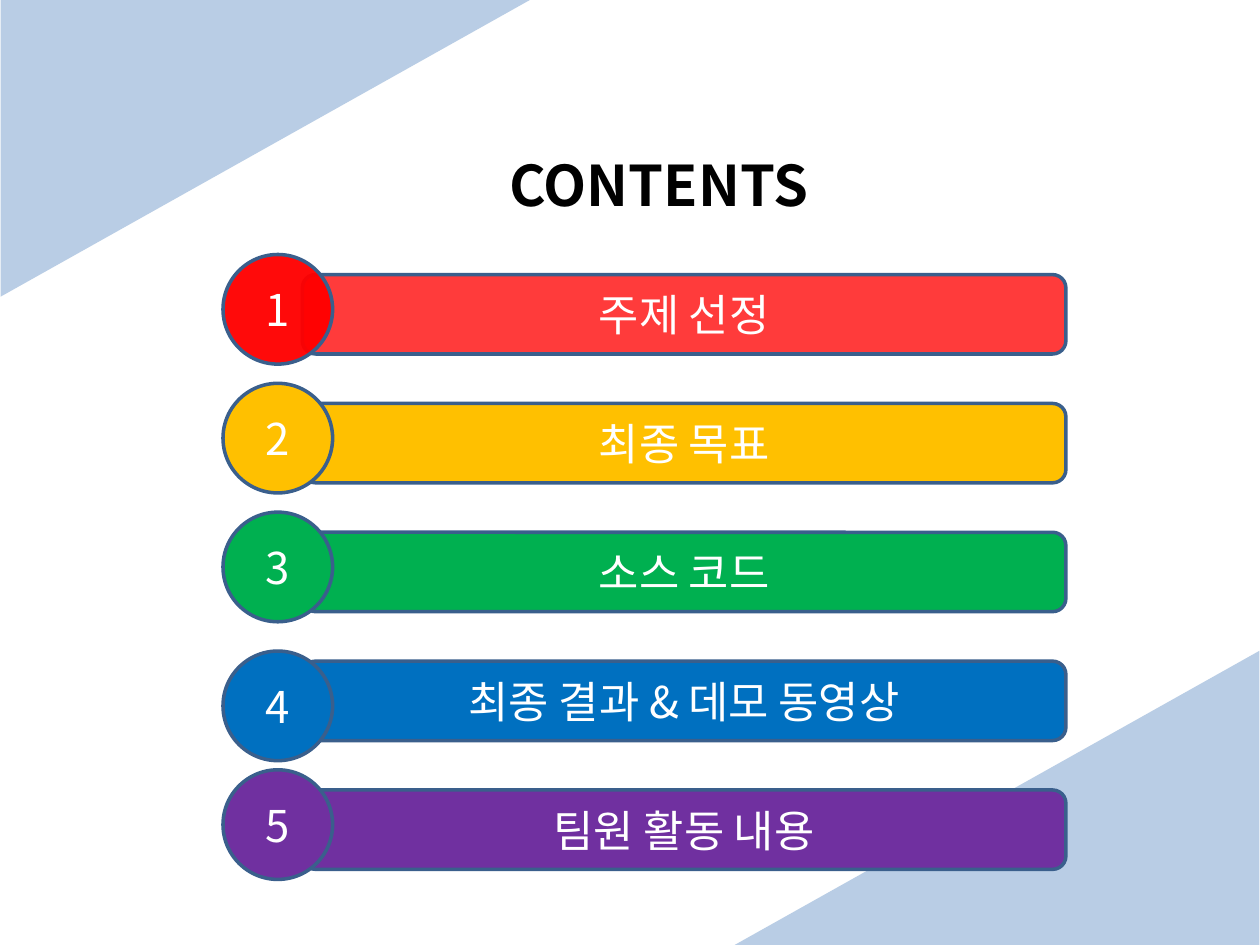
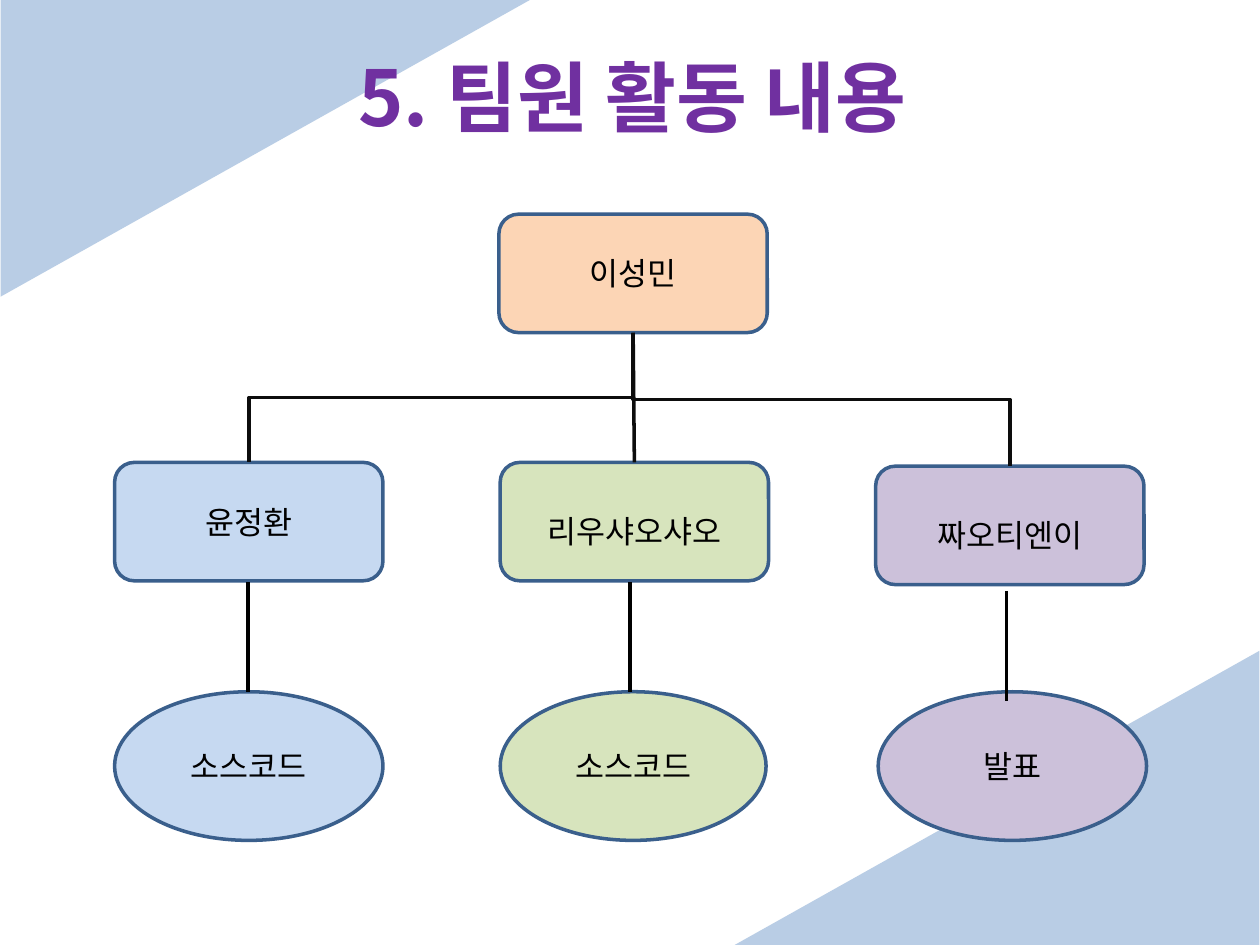
"""Build the contents slide and the team activity slide."""
from typing import NamedTuple

from lxml.etree import SubElement
from pptx import Presentation
from pptx.dml.color import RGBColor
from pptx.enum.shapes import MSO_CONNECTOR as Link, MSO_SHAPE as Preset
from pptx.enum.text import MSO_ANCHOR as Anchor, MSO_AUTO_SIZE as AutoSize, PP_ALIGN as Align
from pptx.oxml.ns import qn
from pptx.util import Inches, Pt

FONT = "Noto Sans CJK KR"
BLACK, WHITE, INK = "000000", "FFFFFF", "0D0D0D"
CORNER, OUTLINE, PURPLE = "B9CDE5", "3A5F8C", "7030A0"
BAR_TOP, BAR_PITCH = 2.18, 1.0225
NODE_W, NODE_H, DUTY_TOP, DUTY_H = 2.13, 0.94, 5.49, 1.18


class Box(NamedTuple):
    """Left, top, width and height in inches."""
    left: float
    top: float
    width: float
    height: float


class Topic(NamedTuple):
    """One numbered entry of the contents."""
    label: str
    color: str
    bar_alpha: int = 100
    badge_alpha: int = 100
    badge_rise: float = 0.16


class Member(NamedTuple):
    """A team member with the duty hanging below."""
    name: str
    duty: str
    color: str
    left: float
    top: float
    duty_left: float
    duty_width: float
    stem_x: float
    stem_top: float
    spacing: float = 1.0


TOPICS = [
    Topic("주제 선정", "FF0000", bar_alpha=77, badge_alpha=96),
    Topic("최종 목표", "FFC000"),
    Topic("소스 코드", "00B050"),
    Topic("최종 결과 & 데모 동영상", "0070C0", badge_rise=0.08),
    Topic("팀원 활동 내용", PURPLE),
]
LEADER = Box(3.96, 1.7, NODE_W, NODE_H)
MEMBERS = [
    Member("윤정환", "소스코드", "C6D9F1", 0.91, 3.67, 0.91, 2.13, 1.97, 4.62),
    Member("리우샤오샤오", "소스코드", "D7E4BD", 3.97, 3.67, 3.97, 2.11, 5, 4.62, 1.5),
    Member("짜오티엔이", "발표", "CCC1DA", 6.95, 3.7, 6.97, 2.13, 7.99, 4.69, 1.5),
]


def rgb(color: str) -> RGBColor:
    """Turn a hex string into a colour."""
    return RGBColor.from_string(color)


def write(frame, text: str, size: float, color: str, bold: bool = False, spacing: float = 1.0) -> None:
    """Set one centred, vertically centred line of text."""
    frame.text = text
    frame.vertical_anchor = Anchor.MIDDLE
    paragraph = frame.paragraphs[0]
    paragraph.alignment = Align.CENTER
    paragraph.line_spacing = spacing
    run = paragraph.runs[0]
    run.font.name, run.font.size, run.font.bold = FONT, Pt(size), bold
    run.font.color.rgb = rgb(color)
    SubElement(run.font._element, qn("a:ea"), typeface=FONT)


def add_filled(shapes, preset, box: Box, color: str, alpha: int = 100):
    """Add a preset shape with a flat fill and no shadow."""
    shape = shapes.add_shape(preset, *map(Inches, box))
    shape.shadow.inherit = False
    shape.fill.solid()
    shape.fill.fore_color.rgb = rgb(color)
    if alpha < 100:
        tint = shape._element.spPr.find(qn("a:solidFill"))[0]
        SubElement(tint, qn("a:alpha"), val=str(alpha * 1000))
    return shape


def add_label(shapes, preset, box: Box, color: str, text: str, size: float,
              ink: str, alpha: int = 100, spacing: float = 1.0) -> None:
    """Add an outlined shape with a label."""
    shape = add_filled(shapes, preset, box, color, alpha)
    shape.line.color.rgb = rgb(OUTLINE)
    shape.line.width = Pt(2)
    write(shape.text_frame, text, size, ink, spacing=spacing)


def add_link(shapes, kind, start: tuple[float, float], end: tuple[float, float], color: str):
    """Add a plain connector."""
    link = shapes.add_connector(kind, *map(Inches, (*start, *end)))
    link.line.color.rgb = rgb(color)
    link.line.width = Pt(2)
    SubElement(link._element.spPr, qn("a:effectLst"))
    return link


def add_branch(shapes, start: tuple[float, float], end: tuple[float, float]) -> None:
    """Add an elbow that leaves downwards, runs sideways and ends downwards."""
    (x1, y1), (x2, y2) = start, end
    drop, span = y2 - y1, abs(x2 - x1)
    left, top = (x1 + x2 - drop) / 2, (y1 + y2 - span) / 2
    near, far = (left, left + drop) if x2 < x1 else (left + drop, left)
    link = add_link(shapes, Link.ELBOW, (near, top), (far, top + span), INK)
    quarter_turns = 1 if x2 < x1 else 3
    link._element.spPr.find(qn("a:xfrm")).set("rot", str(quarter_turns * 5400000))


def add_page(deck, title: str, box: Box, size: float, color: str):
    """Add a slide with both corner triangles and its title above them."""
    slide = deck.slides.add_slide(deck.slide_layouts[5])
    for left, top, turn in ((0.93, -0.93, 90), (6.71, 4.24, 270)):
        corner = add_filled(slide.shapes, Preset.RIGHT_TRIANGLE, Box(left, top, 2.36, 4.21), CORNER)
        corner.line.fill.background()
        corner.rotation = turn
    heading = slide.shapes.title
    slide.shapes._spTree.append(heading._element)
    heading.left, heading.top, heading.width, heading.height = map(Inches, box)
    heading.text_frame.auto_size = AutoSize.NONE
    write(heading.text_frame, title, size, color, bold=True)
    return slide


def build_contents(deck) -> None:
    """Draw the numbered list of topics."""
    slide = add_page(deck, "CONTENTS", Box(3.5, 1.14, 3.46, 0.64), 32, BLACK)
    for index, topic in enumerate(TOPICS):
        top = BAR_TOP + index * BAR_PITCH
        row = slide.shapes.add_group_shape().shapes
        add_label(row, Preset.ROUNDED_RECTANGLE, Box(2.4, top, 6.06, 0.63),
                  topic.color, topic.label, 25, WHITE, topic.bar_alpha)
        add_label(row, Preset.OVAL, Box(1.77, top - topic.badge_rise, 0.87, 0.87),
                  topic.color, str(index + 1), 25, WHITE, topic.badge_alpha)


def build_team(deck) -> None:
    """Draw the team tree with the duty of each member."""
    slide = add_page(deck, "5. 팀원 활동 내용", Box(2.48, 0.34, 5.08, 0.84), 44, PURPLE)
    shapes = slide.shapes
    add_label(shapes, Preset.ROUNDED_RECTANGLE, LEADER, "FCD5B5", "이성민", 18, BLACK)
    for member in MEMBERS:
        add_label(shapes, Preset.ROUNDED_RECTANGLE, Box(member.left, member.top, NODE_W, NODE_H),
                  member.color, member.name, 18, BLACK, spacing=member.spacing)
        add_label(shapes, Preset.OVAL, Box(member.duty_left, DUTY_TOP, member.duty_width, DUTY_H),
                  member.color, member.duty, 18, BLACK)
    root = (LEADER.left + NODE_W / 2, LEADER.top + NODE_H)
    left, middle, right = [(member.left + NODE_W / 2, member.top) for member in MEMBERS]
    add_branch(shapes, root, left)
    add_branch(shapes, root, right)
    add_link(shapes, Link.STRAIGHT, root, middle, INK)
    for member in MEMBERS:
        add_link(shapes, Link.STRAIGHT, (member.stem_x, member.stem_top),
                 (member.stem_x, member.stem_top + 0.87), BLACK)


def main() -> None:
    """Build and save the deck."""
    deck = Presentation()
    deck.slide_width, deck.slide_height = Inches(10), Inches(7.5)
    build_contents(deck)
    build_team(deck)
    deck.save("out.pptx")


if __name__ == "__main__":
    main()
